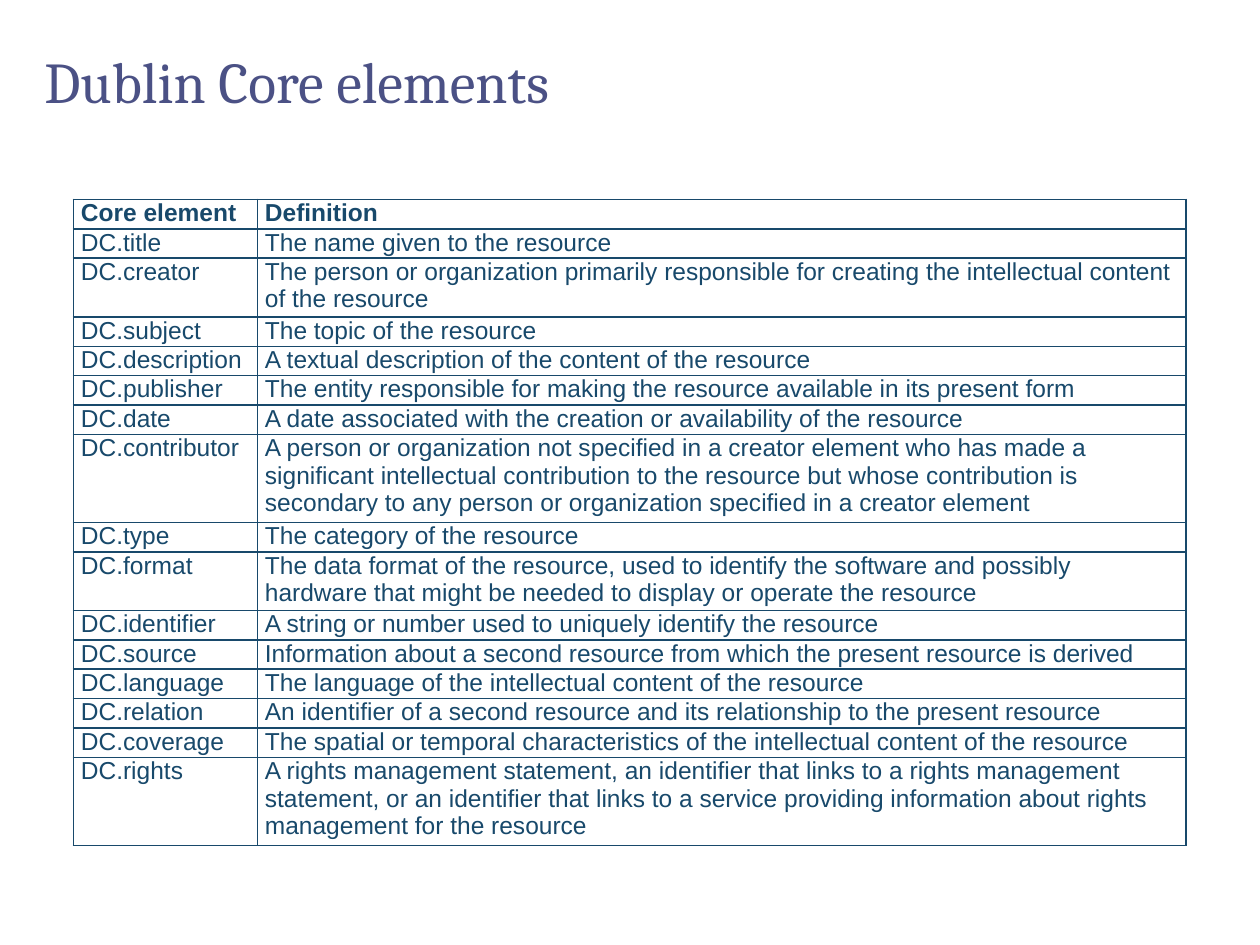
import pptx
import pptx.dml.color
import pptx.enum.text
import pptx.oxml.ns
import pptx.util
from lxml import etree
from pptx.util import Cm, Pt

COLORS = {"title": "4B5185", "table": "18496B"}
LINE_HEIGHT = 0.592
COLUMN_WIDTHS = (3.71, 18.72)
ROWS = [
    ("Core element", "Definition", 1),
    ("DC.title", "The name given to the resource", 1),
    ("DC.creator", "The person or organization primarily responsible for creating "
     "the intellectual content of the resource", 2),
    ("DC.subject", "The topic of the resource", 1),
    ("DC.description", "A textual description of the content of the resource", 1),
    ("DC.publisher", "The entity responsible for making the resource available "
     "in its present form", 1),
    ("DC.date", "A date associated with the creation or availability of the resource", 1),
    ("DC.contributor", "A person or organization not specified in a creator element "
     "who has made a significant intellectual contribution to the resource but whose "
     "contribution is secondary to any person or organization specified in a creator "
     "element", 3),
    ("DC.type", "The category of the resource", 1),
    ("DC.format", "The data format of the resource, used to identify the software and "
     "possibly hardware that might be needed to display or operate the resource", 2),
    ("DC.identifier", "A string or number used to uniquely identify the resource", 1),
    ("DC.source", "Information about a second resource from which the present "
     "resource is derived", 1),
    ("DC.language", "The language of the intellectual content of the resource", 1),
    ("DC.relation", "An identifier of a second resource and its relationship to the "
     "present resource", 1),
    ("DC.coverage", "The spatial or temporal characteristics of the intellectual "
     "content of the resource", 1),
    ("DC.rights", "A rights management statement, an identifier that links to a rights "
     "management statement, or an identifier that links to a service providing "
     "information about rights management for the resource", 3),
]


def write_text(text_frame, text, *, font, size, color, bold=False, line_spacing=None):
    paragraph = text_frame.paragraphs[0]
    paragraph.alignment = pptx.enum.text.PP_ALIGN.LEFT
    paragraph.line_spacing = line_spacing
    run = paragraph.add_run()
    run.text = text
    run.font.name = font
    run.font.size = Pt(size)
    run.font.bold = bold
    run.font.color.rgb = pptx.dml.color.RGBColor.from_string(COLORS[color])


def add_title(slide, text):
    title = slide.shapes.title
    title.left, title.top, title.width, title.height = Cm(0.64), Cm(0.43), Cm(24.16), Cm(2.54)
    title.text_frame.vertical_anchor = pptx.enum.text.MSO_ANCHOR.MIDDLE
    write_text(title.text_frame, text, font="Cambria", size=33, color="title", line_spacing=0.9)


def set_borders(cell, color, width):
    qualified = pptx.oxml.ns.qn
    properties = cell._tc.get_or_add_tcPr()
    for side in ("lnL", "lnR", "lnT", "lnB"):
        line = etree.SubElement(properties, qualified(f"a:{side}"), w=str(Pt(width)))
        fill = etree.SubElement(line, qualified("a:solidFill"))
        etree.SubElement(fill, qualified("a:srgbClr"), val=COLORS[color])


def format_cell(cell, text, *, bold):
    cell.margin_left = cell.margin_right = Cm(0.15)
    cell.margin_top = cell.margin_bottom = 0
    cell.vertical_anchor = pptx.enum.text.MSO_ANCHOR.TOP
    set_borders(cell, "table", 1)
    cell.fill.background()
    write_text(cell.text_frame, text, font="Arial", size=14, color="table", bold=bold)


def add_definition_table(slide):
    height = LINE_HEIGHT * sum(lines for *_, lines in ROWS)
    table = slide.shapes.add_table(
        len(ROWS), len(COLUMN_WIDTHS), Cm(1.48), Cm(4.02), Cm(sum(COLUMN_WIDTHS)), Cm(height)
    ).table
    table.first_row = False
    table.horz_banding = False
    for column, width in zip(table.columns, COLUMN_WIDTHS):
        column.width = Cm(width)
    for index, (row, (*texts, lines)) in enumerate(zip(table.rows, ROWS)):
        row.height = Cm(LINE_HEIGHT * lines)
        for cell, text in zip(row.cells, texts):
            format_cell(cell, text, bold=index == 0)


def main():
    presentation = pptx.Presentation()
    presentation.slide_width, presentation.slide_height = Cm(25.4), Cm(19.05)
    slide = presentation.slides.add_slide(presentation.slide_layouts[5])
    add_title(slide, "Dublin Core elements")
    add_definition_table(slide)
    presentation.save("out.pptx")


if __name__ == "__main__":
    main()
